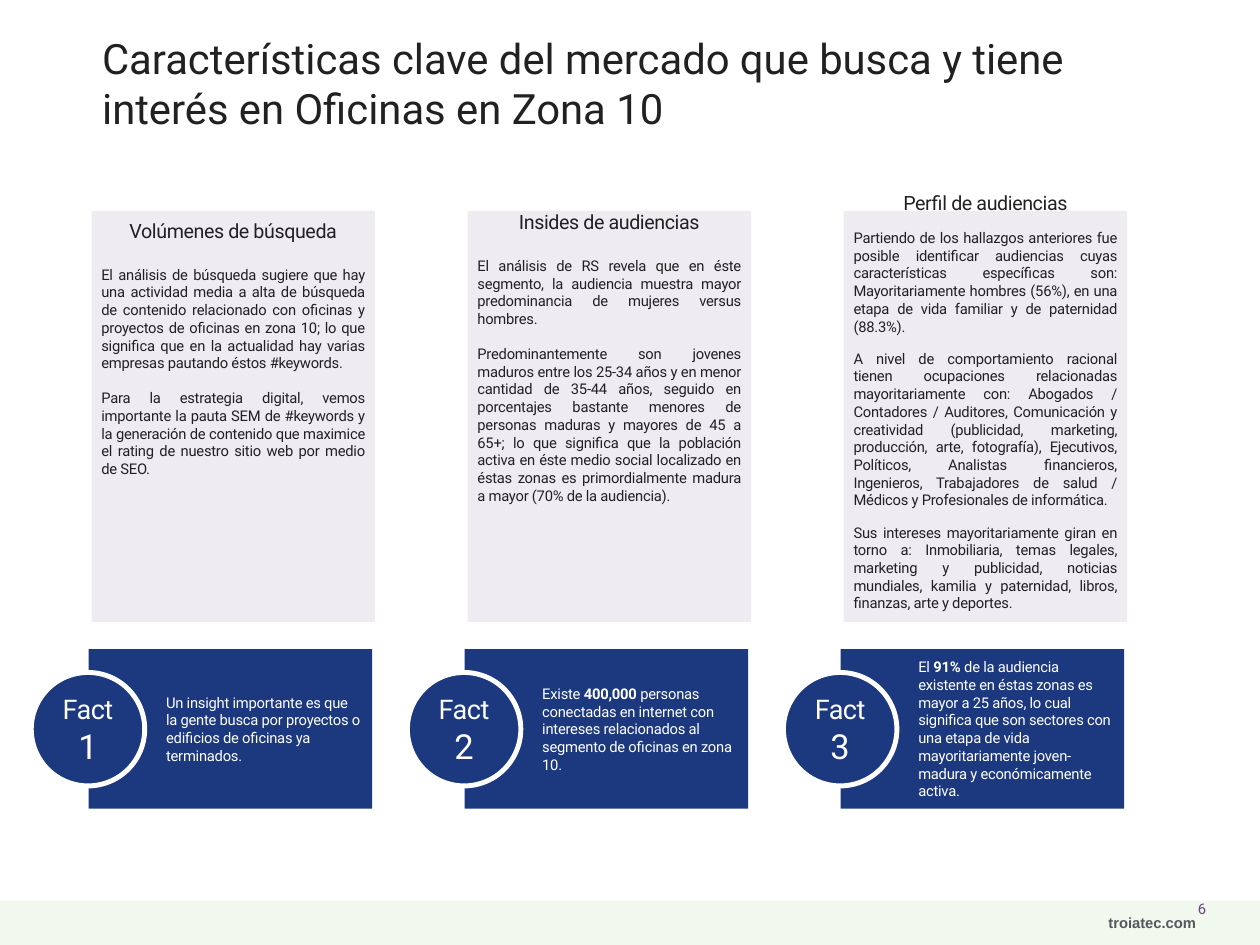
import pptx
import pptx.dml.color
import pptx.enum.shapes
import pptx.enum.text
import pptx.util

Pt = pptx.util.Pt
ALIGN = pptx.enum.text.PP_ALIGN
ANCHOR = pptx.enum.text.MSO_ANCHOR
SHAPE = pptx.enum.shapes.MSO_SHAPE

INK, WHITE, NAVY = "212121", "FFFFFF", "1C387E"
LILAC, MINT, PURPLE, GREY = "EEECF1", "F1F8EE", "694082", "53585F"
LEFT, PITCH, WIDTH = 72, 305.65, 230.4

COLUMNS = [
    {
        "title": "Volúmenes de búsqueda",
        "top": 177.8,
        "gaps": (18.75, 14.06),
        "body": [
            "El análisis de búsqueda sugiere que hay una actividad media a alta de búsqueda de contenido relacionado con oficinas y proyectos de oficinas en zona 10; lo que significa que en la actualidad hay varias empresas pautando éstos #keywords.",
            "Para la estrategia digital, vemos importante la pauta SEM de #keywords y la generación de contenido que maximice el rating de nuestro sitio web por medio de SEO.",
        ],
        "fact": [
            ("Un insight importante es que la gente busca por proyectos o edificios de oficinas ya terminados.", False),
        ],
    },
    {
        "title": "Insides de audiencias",
        "top": 170.6,
        "gaps": (18.75, 14.06),
        "body": [
            "El análisis de RS revela que en éste segmento, la audiencia muestra mayor predominancia de mujeres versus hombres.",
            "Predominantemente son jovenes maduros entre los 25-34 años y en menor cantidad de 35-44 años, seguido en porcentajes bastante menores de personas maduras y mayores de 45 a 65+; lo que significa que la población activa en éste medio social localizado en éstas zonas es primordialmente madura a mayor (70% de la audiencia).",
        ],
        "fact": [
            ("Existe ", False),
            ("400,000", True),
            (" personas conectadas en internet con intereses relacionados al segmento de oficinas en zona 10.", False),
        ],
    },
    {
        "title": "Perfil de audiencias",
        "top": 155,
        "gaps": (11.72, 11.72),
        "body": [
            "Partiendo de los hallazgos anteriores fue posible identificar audiencias cuyas características específicas son: Mayoritariamente hombres (56%), en una etapa de vida familiar y de paternidad (88.3%).",
            "A nivel de comportamiento racional tienen ocupaciones relacionadas mayoritariamente con: Abogados / Contadores / Auditores, Comunicación y creatividad (publicidad, marketing, producción, arte, fotografía), Ejecutivos, Políticos, Analistas financieros, Ingenieros, Trabajadores de salud / Médicos y Profesionales de informática.",
            "Sus intereses mayoritariamente giran en torno a: Inmobiliaria, temas legales, marketing y publicidad, noticias mundiales, kamilia y paternidad, libros, finanzas, arte y deportes.",
        ],
        "fact": [
            ("El ", False),
            ("91%", True),
            (" de la audiencia existente en éstas zonas es mayor a 25 años, lo cual significa que son sectores con una etapa de vida mayoritariamente joven-madura y económicamente activa.", False),
        ],
    },
]


def rgb(value):
    return pptx.dml.color.RGBColor.from_string(value)


class Deck:
    font = "Roboto"

    def __init__(self, prs):
        self.s = prs.slides.add_slide(prs.slide_layouts[6])

    def shape(self, kind, x, y, w, h, fill, line=None):
        sp = self.s.shapes.add_shape(kind, Pt(x), Pt(y), Pt(w), Pt(h))
        sp.shadow.inherit = False
        sp.fill.solid()
        sp.fill.fore_color.rgb = rgb(fill)
        if line:
            sp.line.color.rgb = rgb(line)
            sp.line.width = Pt(4)
        else:
            sp.line.fill.background()
        return sp

    def textbox(self, x, y, w, h):
        return self.s.shapes.add_textbox(Pt(x), Pt(y), Pt(w), Pt(h))

    def frame(self, sp, insets=(3, 3, 3, 3), anchor=ANCHOR.MIDDLE, wrap=True):
        tf = sp.text_frame
        tf.word_wrap = wrap
        tf.vertical_anchor = anchor
        tf.margin_left, tf.margin_top, tf.margin_right, tf.margin_bottom = map(Pt, insets)
        return tf

    def paragraph(self, tf, align=ALIGN.LEFT, before=None):
        p = tf.paragraphs[0]
        if p.runs:
            p = tf.add_paragraph()
        p.alignment = align
        if before:
            p.space_before = Pt(before)
        return p

    def run(self, p, text, size, color=INK, bold=False, spacing=0, font=None):
        r = p.add_run()
        r.text = text
        r.font.name = font or self.font
        r.font.size = Pt(size)
        r.font.bold = bold
        r.font.color.rgb = rgb(color)
        if spacing:
            r.font._element.set("spc", str(spacing))

    def card(self, x, column):
        self.shape(SHAPE.RECTANGLE, x, 171.4, WIDTH, 334, LILAC)
        top = column["top"]
        tf = self.frame(self.textbox(x, top, WIDTH, 505.4 - top), (8, 0, 8, 0), ANCHOR.TOP)
        self.run(self.paragraph(tf, ALIGN.CENTER), column["title"], 16, spacing=-30)
        first, between = column["gaps"]
        for i, text in enumerate(column["body"]):
            p = self.paragraph(tf, ALIGN.JUSTIFY, between if i else first)
            self.run(p, text, 12, spacing=-20)

    def fact(self, x, number, runs):
        tf = self.frame(self.shape(SHAPE.RECTANGLE, x, 527.6, WIDTH, 129.6, NAVY), (63, 3, 8, 3))
        p = self.paragraph(tf)
        for text, bold in runs:
            self.run(p, text, 12, WHITE, bold, -20)
        tf = self.frame(self.shape(SHAPE.OVAL, x - 46.6, 546.5, 92.2, 92.2, NAVY, WHITE))
        self.run(self.paragraph(tf, ALIGN.CENTER), "Fact", 22, WHITE, spacing=-40)
        self.run(self.paragraph(tf, ALIGN.CENTER), str(number), 28, WHITE, spacing=-60)

    def footer(self):
        self.shape(SHAPE.RECTANGLE, 0, 732.4, 1024, 35.6, MINT)
        tf = self.frame(self.textbox(899.3, 740.9, 74.9, 18), (1.5, 1.5, 1.5, 1.5), wrap=False)
        self.run(self.paragraph(tf), "troiatec.com", 12, GREY, True, font="Arial")
        tf = self.frame(self.textbox(969, 727.2, 16, 22.3), (4, 4, 4, 4), ANCHOR.TOP, False)
        self.run(self.paragraph(tf, ALIGN.CENTER), "6", 12, PURPLE)

    def title(self, text):
        tf = self.frame(self.textbox(80, 23, 848, 88.6))
        self.run(self.paragraph(tf), text, 34)


def main():
    prs = pptx.Presentation()
    prs.slide_width, prs.slide_height = Pt(1024), Pt(768)
    deck = Deck(prs)
    deck.footer()
    deck.title("Características clave del mercado que busca y tiene interés en Oficinas en Zona 10")
    for i, column in enumerate(COLUMNS):
        x = LEFT + i * PITCH
        deck.card(x + 2.4, column)
        deck.fact(x, i + 1, column["fact"])
    prs.save("out.pptx")


if __name__ == "__main__":
    main()
